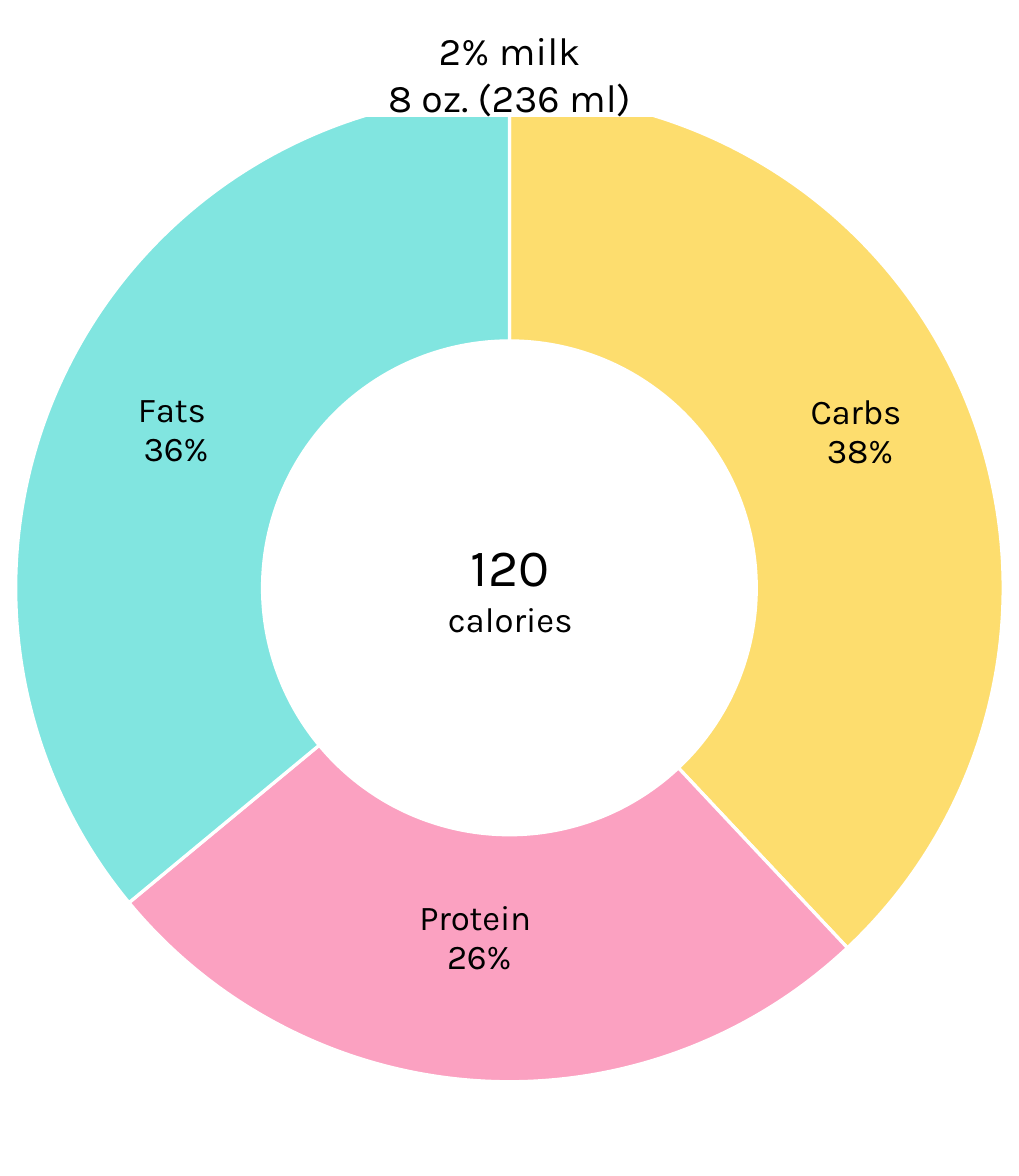
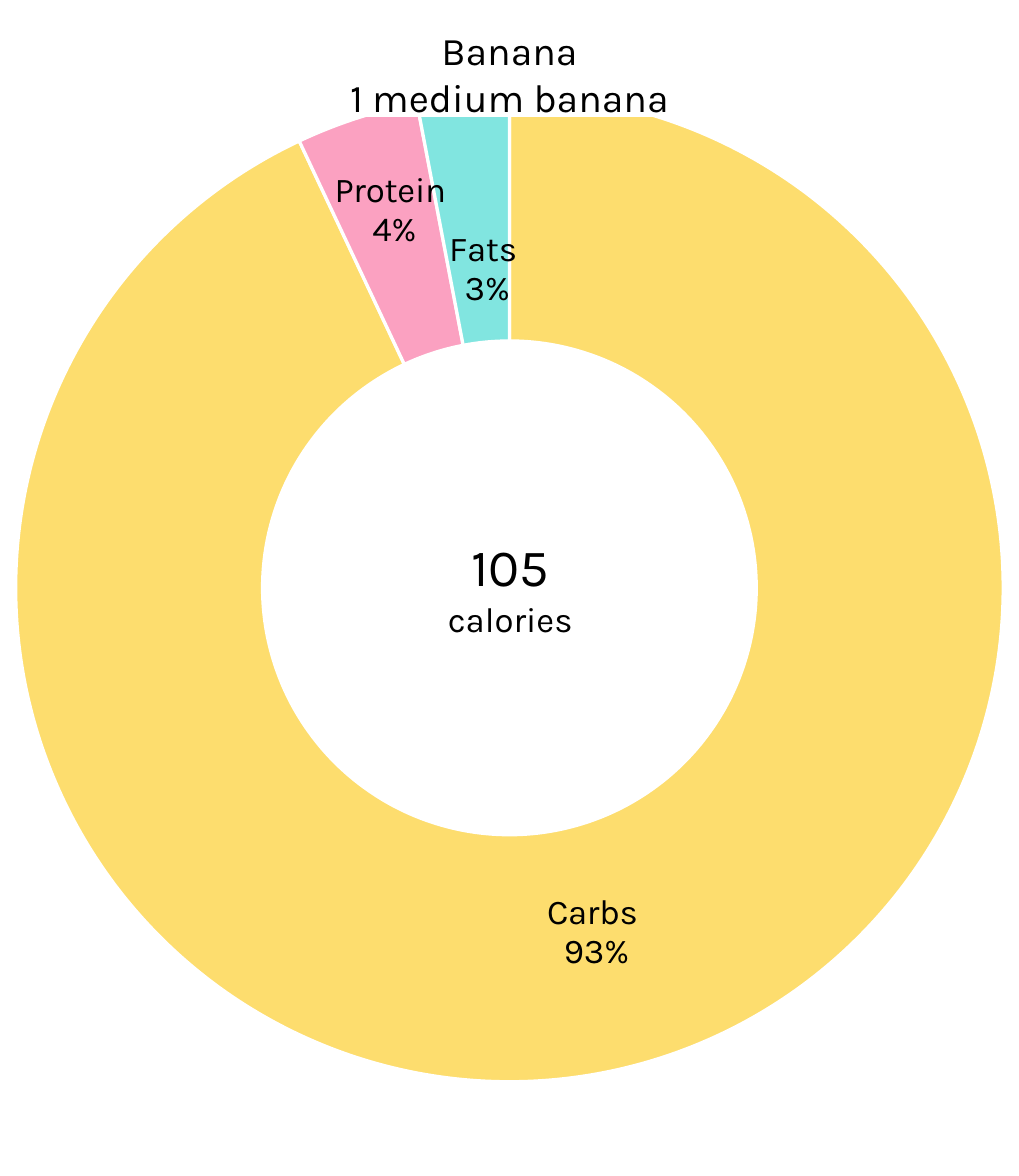
"""Build two calorie doughnut slides, one per food."""
from dataclasses import dataclass

from lxml.etree import SubElement
from pptx import Presentation
from pptx.chart.chart import Chart
from pptx.chart.data import CategoryChartData
from pptx.chart.point import Point
from pptx.dml.color import RGBColor
from pptx.enum.chart import XL_CHART_TYPE
from pptx.enum.text import MSO_ANCHOR, MSO_AUTO_SIZE, PP_ALIGN
from pptx.oxml.ns import qn
from pptx.slide import Slide
from pptx.text.text import Font, TextFrame
from pptx.util import Emu, Pt

BLACK = RGBColor(0x00, 0x00, 0x00)
WHITE = RGBColor(0xFF, 0xFF, 0xFF)
YELLOW = RGBColor(0xFD, 0xDD, 0x6E)
PINK = RGBColor(0xFB, 0xA1, 0xC1)
TEAL = RGBColor(0x81, 0xE5, 0xE0)

TEXT_FONT = "Karla"
CHART_FONT = "Calibri"
EMU_PER_PX = 9144
SLIDE_WIDTH, SLIDE_HEIGHT = 650, 750
RING_WIDTH, RING_HEIGHT = 658, 750
RING_DIAMETER = 630
TITLE_ONLY = 5


@dataclass(frozen=True)
class Nutrient:
    name: str
    share: float
    color: RGBColor
    label: tuple[str, str]
    label_shift: tuple[int, int]


@dataclass(frozen=True)
class Food:
    name: str
    serving: str
    calories: int
    nutrients: tuple[Nutrient, ...]


FOODS = (
    Food("2% milk", "8 oz. (236 ml)", 120, (
        Nutrient("Carbs", 0.38, YELLOW, ("Carbs ", "38%"), (4, -12)),
        Nutrient("Protein", 0.26, PINK, ("Protein", " 26%"), (-7, -12)),
        Nutrient("Fats", 0.36, TEAL, ("Fats ", "36%"), (1, 0)),
    )),
    Food("Banana", "1 medium banana", 105, (
        Nutrient("Carbs", 0.93, YELLOW, ("Carbs ", "93%"), (4, -11)),
        Nutrient("Protein", 0.04, PINK, ("Protein", " 4%"), (-3, -16)),
        Nutrient("Fats", 0.03, TEAL, ("Fats ", "3%"), (8, 32)),
    )),
)


def px(length: int) -> Emu:
    """Turn px into EMU."""
    return Emu(length * EMU_PER_PX)


def style_font(font: Font, size: int, name: str = TEXT_FONT) -> None:
    """Apply a typeface and size in plain black."""
    font.name = name
    font.size = Pt(size)
    font.bold = False
    font.color.rgb = BLACK


def write_lines(frame: TextFrame, *lines: tuple[str, int]) -> None:
    """Write centred lines, each with its own size."""
    for index, (text, size) in enumerate(lines):
        paragraph = frame.add_paragraph() if index else frame.paragraphs[0]
        paragraph.text = text
        paragraph.alignment = PP_ALIGN.CENTER
        style_font(paragraph.font, size)


def fill_layout(layout, **values: float | str) -> None:
    """Give a chart layout element its manual settings."""
    for child in list(layout):
        layout.remove(child)
    manual = SubElement(layout, qn("c:manualLayout"))
    for tag, value in values.items():
        SubElement(manual, qn(f"c:{tag}")).set("val", str(value))


def place_ring(chart: Chart) -> None:
    """Centre the ring in its chart frame."""
    plot_area = chart._chartSpace.chart.plotArea
    layout = plot_area.find(qn("c:layout"))
    if layout is None:
        layout = SubElement(plot_area, qn("c:layout"))
        plot_area.insert(0, layout)
    width, height = RING_DIAMETER / RING_WIDTH, RING_DIAMETER / RING_HEIGHT
    fill_layout(layout, layoutTarget="inner", xMode="edge", yMode="edge",
                x=(1 - width) / 2, y=(1 - height) / 2, w=width, h=height)


def style_segment(segment: Point, nutrient: Nutrient) -> None:
    """Colour one ring segment and label it."""
    segment.format.fill.solid()
    segment.format.fill.fore_color.rgb = nutrient.color
    segment.format.line.color.rgb = WHITE
    segment.format.line.width = Pt(1.5)

    frame = segment.data_label.text_frame
    write_lines(frame, *((line, 16) for line in nutrient.label))
    for paragraph in frame.paragraphs:
        style_font(paragraph.runs[0].font, 16)

    label = segment.data_label._get_or_add_dLbl()
    label.find(qn("c:showCatName")).set("val", "1")
    label.find(qn("c:showPercent")).set("val", "0")
    layout = SubElement(label, qn("c:layout"))
    label.find(qn("c:idx")).addnext(layout)
    shift_x, shift_y = nutrient.label_shift
    fill_layout(layout, x=shift_x / RING_WIDTH, y=shift_y / RING_HEIGHT)


def add_ring(slide: Slide, nutrients: tuple[Nutrient, ...]) -> None:
    """Add the nutrient doughnut chart."""
    shares = CategoryChartData(number_format="0%")
    shares.categories = [nutrient.name for nutrient in nutrients]
    shares.add_series("Series 1", [nutrient.share for nutrient in nutrients])
    chart = slide.shapes.add_chart(
        XL_CHART_TYPE.DOUGHNUT, px((SLIDE_WIDTH - RING_WIDTH) // 2), px(0),
        px(RING_WIDTH), px(RING_HEIGHT), shares).chart
    chart.has_title = False
    chart.has_legend = False
    style_font(chart.font, 10, CHART_FONT)
    place_ring(chart)

    chart.plots[0].vary_by_categories = True
    ring = chart.plots[0].series[0]
    labels = ring.data_labels
    labels.show_value = True
    labels.show_category_name = True
    labels.show_percentage = False
    labels.number_format = "0%"
    labels.number_format_is_linked = False
    style_font(labels.font, 12, CHART_FONT)
    for index, nutrient in enumerate(nutrients):
        style_segment(ring.points[index], nutrient)


def add_calories(slide: Slide, calories: int) -> None:
    """Write the calorie count in the ring's hole."""
    frame = slide.shapes.add_textbox(px(269), px(336), px(113), px(77)).text_frame
    frame.word_wrap = False
    frame.auto_size = MSO_AUTO_SIZE.SHAPE_TO_FIT_TEXT
    write_lines(frame, (str(calories), 24), ("calories", 16))


def place_title(slide: Slide, food: Food) -> None:
    """Format the title and bring it in front of the ring."""
    title = slide.shapes.title
    title.left, title.top, title.width, title.height = px(150), px(19), px(350), px(55)
    title.fill.solid()
    title.fill.fore_color.rgb = WHITE
    title.line.color.rgb = WHITE
    title.line.width = Pt(1)
    frame = title.text_frame
    frame.word_wrap = True
    frame.auto_size = MSO_AUTO_SIZE.NONE
    frame.vertical_anchor = MSO_ANCHOR.MIDDLE
    write_lines(frame, (food.name, 18), (food.serving, 18))
    slide.shapes._spTree.append(title._element)


def main() -> None:
    """Build and save the presentation."""
    deck = Presentation()
    deck.slide_width, deck.slide_height = px(SLIDE_WIDTH), px(SLIDE_HEIGHT)
    for food in FOODS:
        slide = deck.slides.add_slide(deck.slide_layouts[TITLE_ONLY])
        add_ring(slide, food.nutrients)
        add_calories(slide, food.calories)
        place_title(slide, food)
    deck.save("out.pptx")


if __name__ == "__main__":
    main()
